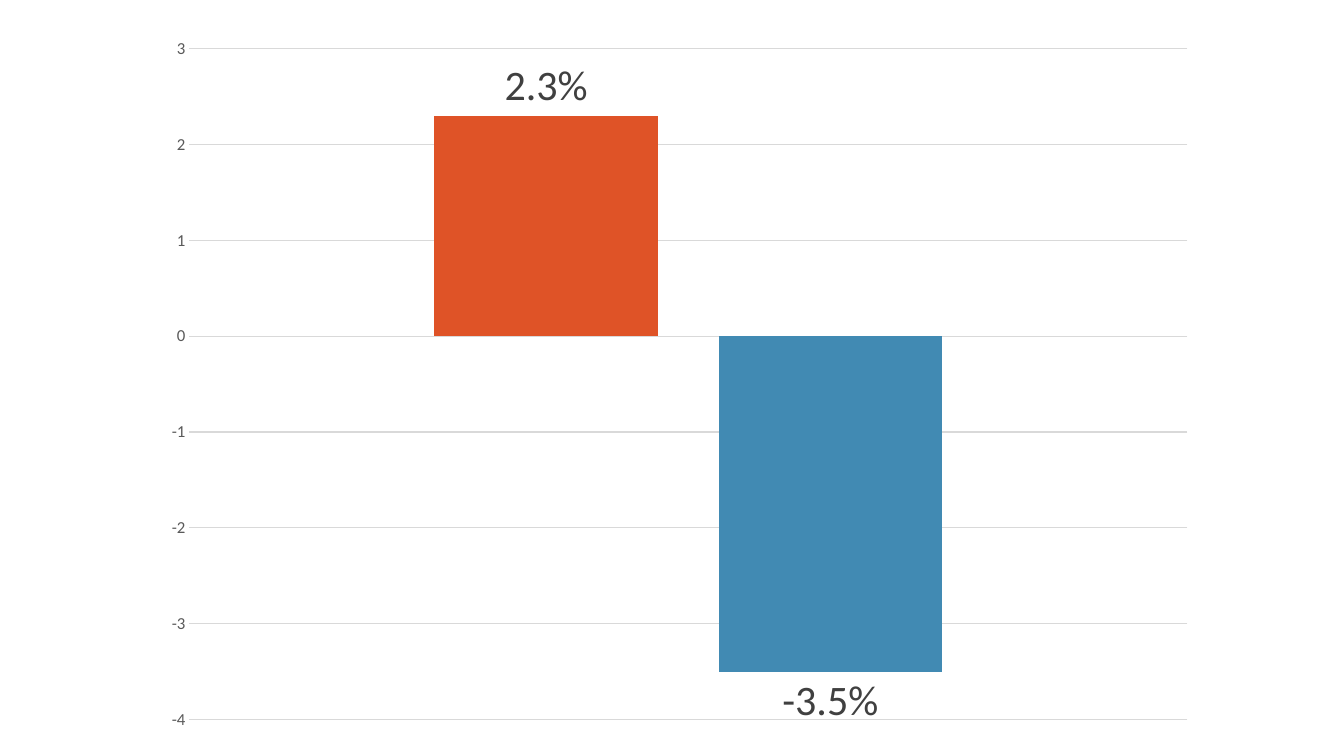
from dataclasses import dataclass

from lxml import etree
from pptx import Presentation
from pptx.chart.chart import Chart
from pptx.chart.data import CategoryChartData
from pptx.chart.series import BarSeries
from pptx.dml.color import RGBColor
from pptx.enum.chart import XL_CHART_TYPE, XL_LABEL_POSITION, XL_TICK_MARK
from pptx.oxml.ns import qn
from pptx.slide import Slide
from pptx.text.text import Font, TextFrame
from pptx.util import Pt

CLUSTERED = XL_CHART_TYPE.COLUMN_CLUSTERED
OUTSIDE_END = XL_LABEL_POSITION.OUTSIDE_END
NO_TICK = XL_TICK_MARK.NONE
BLANK_LAYOUT = 6


@dataclass(frozen=True)
class Theme:
    font: str = "Calibri"
    axis_size: float = 12
    label_size: float = 30
    axis_text: str = "595959"
    label_text: str = "404040"
    grid: str = "D9D9D9"
    orange: str = "DF5327"
    blue: str = "418AB3"


@dataclass(frozen=True)
class Column:
    name: str
    value: float
    label: str
    number_format: str
    color: str


THEME = Theme()
COLUMNS = [
    Column("Series 1", 2.3, "2.3%", "0", THEME.orange),
    Column("Series 2", -3.5, "-3.5%", "General", THEME.blue),
]
PLOT_LAYOUT = {"x": 0.037, "y": 0.034, "w": 0.943, "h": 0.931}


def format_font(font: Font, *, size: float, color: str) -> None:
    font.name = THEME.font
    font.size = Pt(size)
    font.color.rgb = RGBColor.from_string(color)


def write_text(frame: TextFrame, text: str, *, size: float, color: str) -> None:
    run = frame.paragraphs[0].add_run()
    run.text = text
    format_font(run.font, size=size, color=color)


def place_plot(chart: Chart) -> None:
    """Fix the inner plot area as fractions of the chart frame."""
    plot_area = chart.element.find(f".//{qn('c:plotArea')}")
    for old_layout in plot_area.findall(qn("c:layout")):
        plot_area.remove(old_layout)
    layout = etree.Element(qn("c:layout"))
    manual = etree.SubElement(layout, qn("c:manualLayout"))
    settings = {"layoutTarget": "inner", "xMode": "edge", "yMode": "edge", **PLOT_LAYOUT}
    for tag, value in settings.items():
        etree.SubElement(manual, qn(f"c:{tag}")).set("val", str(value))
    plot_area.insert(0, layout)


def format_axes(chart: Chart) -> None:
    chart.category_axis.visible = False
    axis = chart.value_axis
    axis.minimum_scale, axis.maximum_scale, axis.major_unit = -4, 3, 1
    axis.major_tick_mark = axis.minor_tick_mark = NO_TICK
    axis.format.line.fill.background()
    axis.tick_labels.number_format = "0"
    axis.tick_labels.number_format_is_linked = False
    format_font(axis.tick_labels.font, size=THEME.axis_size, color=THEME.axis_text)
    grid_line = axis.major_gridlines.format.line
    grid_line.width = Pt(0.75)
    grid_line.color.rgb = RGBColor.from_string(THEME.grid)


def format_column(series: BarSeries, column: Column) -> None:
    series.invert_if_negative = False
    series.format.fill.solid()
    series.format.fill.fore_color.rgb = RGBColor.from_string(column.color)
    labels = series.data_labels
    labels.show_value = True
    labels.position = OUTSIDE_END
    labels.number_format = column.number_format
    labels.number_format_is_linked = False
    format_font(labels.font, size=THEME.label_size, color=THEME.label_text)
    label = series.points[0].data_label
    write_text(
        label.text_frame, column.label, size=THEME.label_size, color=THEME.label_text
    )
    label.position = OUTSIDE_END


def add_column_chart(slide: Slide, columns: list[Column]) -> None:
    data = CategoryChartData()
    data.categories = ["1"]
    for column in columns:
        data.add_series(column.name, [column.value], column.number_format)
    frame = slide.shapes.add_chart(
        CLUSTERED, Pt(107.3), Pt(17.3), Pt(756), Pt(514.8), data
    )
    chart = frame.chart
    chart.has_title = False
    chart.has_legend = False
    format_font(chart.font, size=THEME.axis_size, color=THEME.axis_text)
    plot = chart.plots[0]
    plot.gap_width, plot.overlap = 219, -27
    plot.vary_by_categories = False
    format_axes(chart)
    for series, column in zip(plot.series, columns):
        format_column(series, column)
    place_plot(chart)


def main() -> None:
    presentation = Presentation()
    presentation.slide_width, presentation.slide_height = Pt(960), Pt(540)
    slide = presentation.slides.add_slide(presentation.slide_layouts[BLANK_LAYOUT])
    add_column_chart(slide, COLUMNS)
    presentation.save("out.pptx")


if __name__ == "__main__":
    main()
